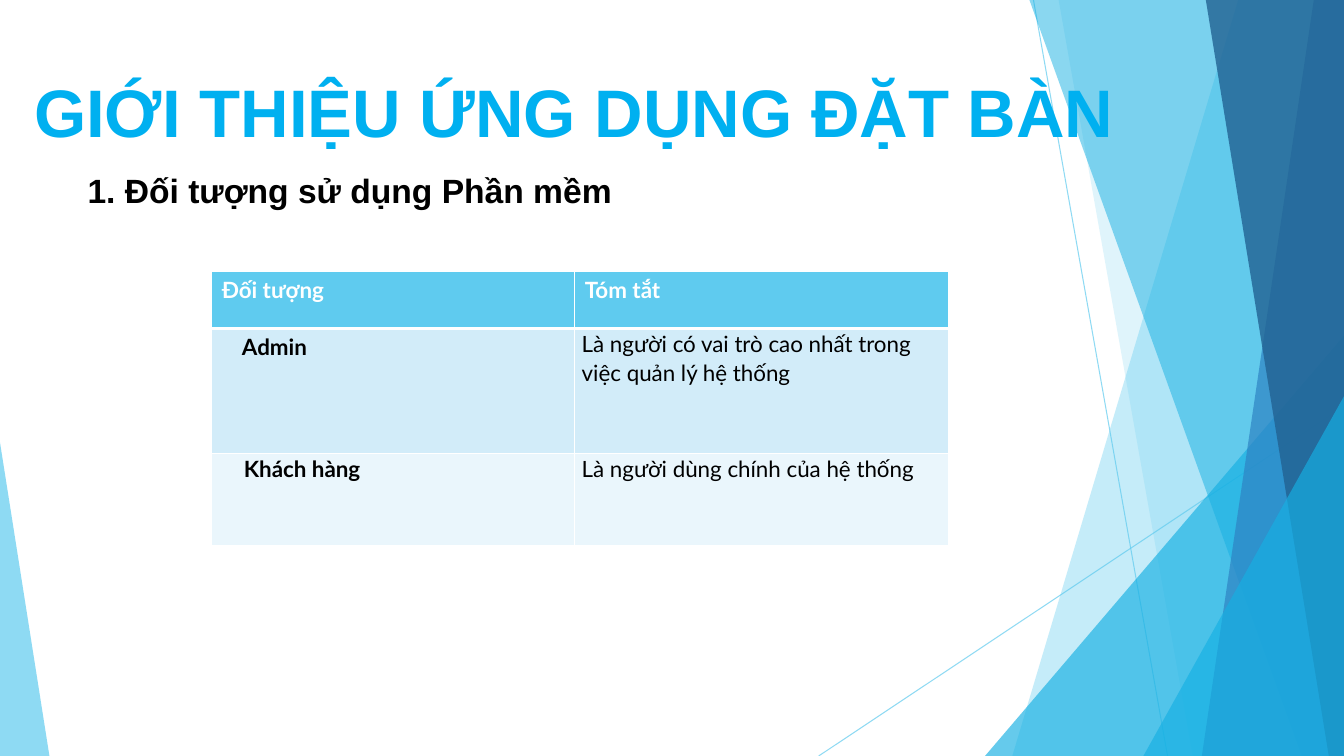
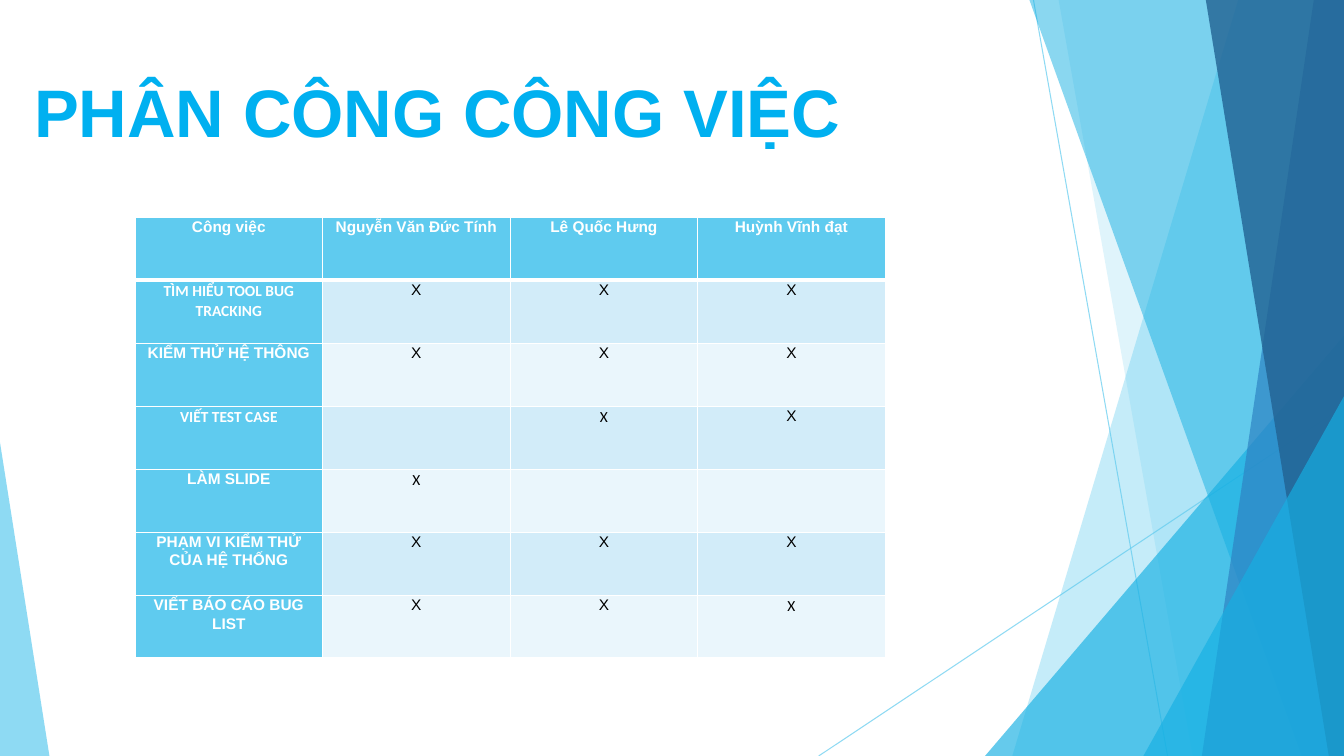
"""Build two slides on a table-booking app: its users and the division of work."""
from lxml import etree
from pptx import Presentation
from pptx.dml.color import RGBColor
from pptx.enum.shapes import MSO_CONNECTOR, MSO_SHAPE
from pptx.enum.text import MSO_ANCHOR, MSO_AUTO_SIZE, PP_ALIGN
from pptx.oxml.ns import qn
from pptx.util import Pt

PX = 9144
WIDTH, HEIGHT = 1333, 750
TRIANGLE = MSO_SHAPE.ISOSCELES_TRIANGLE
STRAIGHT = MSO_CONNECTOR.STRAIGHT
MIDDLE = MSO_ANCHOR.MIDDLE
LEFT, CENTER = PP_ALIGN.LEFT, PP_ALIGN.CENTER

COLORS = {
    "sky": "5FCBEF",
    "cyan": "16B0E3",
    "blue": "2E83C3",
    "navy": "226292",
    "title": "00B0F0",
    "band_dark": "D2ECF9",
    "band_light": "EAF6FC",
    "white": "FFFFFF",
    "black": "000000",
}

RAYS = [(1025, 0, 1158, HEIGHT), (WIDTH, 403, 812, HEIGHT)]

# Bands give x at top left, top right, bottom right, bottom left;
# triangles give left, top, width, height, apex.
FACETS = [
    ("band", (1228, WIDTH, WIDTH, 1004), "sky", 36),
    ("band", (1050, WIDTH, WIDTH, 1183), "sky", 20),
    ("triangle", (977, 333, 356, 417, 1), "cyan", 66),
    ("band", (1021, WIDTH, 1333, 1291), "cyan", 50),
    ("band", (1303, WIDTH, WIDTH, 1192), "blue", 70),
    ("band", (1196, WIDTH, WIDTH, 1318), "navy", 80),
    ("triangle", (1134, 393, 199, 357, 1), "cyan", 66),
    ("triangle", (0, 439, 49, 311, 0), "sky", 70),
]

SLIDES = [
    {
        "title": "GIỚI THIỆU ỨNG DỤNG ĐẶT BÀN",
        "title_width": 1102,
        "subtitle": "1. Đối tượng sử dụng Phần mềm",
        "corner": (210, 269),
        "columns": [360, 371],
        "rows": [57, 124, 91],
        "cells": [
            ["Đối tượng", "Tóm tắt"],
            ["Admin", "Là người có vai trò cao nhất trong việc quản lý hệ thống"],
            ["Khách hàng", "Là người dùng chính của hệ thống"],
        ],
        "font": "Lato",
        "size": 16,
        "align": LEFT,
        "head_column": False,
        "calibri": set(),
        "roomy": {(0, 0), (0, 1), (1, 0)},
        "indents": {(1, 0): 20, (2, 0): 25},
    },
    {
        "title": "PHÂN CÔNG CÔNG VIỆC",
        "title_width": 828,
        "subtitle": None,
        "corner": (134, 216),
        "columns": [186] * 4,
        "rows": [62, 63] * 3 + [62],
        "cells": [
            ["Công việc", "Nguyễn Văn Đức Tính", "Lê Quốc Hưng", "Huỳnh Vĩnh đạt"],
            ["TÌM HIỂU TOOL BUG TRACKING", "X", "X", "X"],
            ["KIỂM THỬ HỆ THÔNG", "X", "X", "X"],
            ["VIẾT TEST CASE", "", "X", "X"],
            ["LÀM SLIDE", "X", "", ""],
            ["PHẠM VI KIỂM THỬ CỦA HỆ THỐNG", "X", "X", "X"],
            ["VIẾT BÁO CÁO BUG LIST", "X", "X", "X"],
        ],
        "font": "Arial",
        "size": 11,
        "align": CENTER,
        "head_column": True,
        "calibri": {(1, 0), (3, 0), (3, 2), (4, 1), (6, 3)},
        "roomy": set(),
        "indents": {},
    },
]


def paint(fill, color, alpha=100):
    """Make a fill solid in a named colour, with opacity in percent."""
    fill.solid()
    fill.fore_color.rgb = RGBColor.from_string(COLORS[color])
    if alpha < 100:
        for tone in fill._xPr.iter(qn("a:srgbClr")):
            etree.SubElement(tone, qn("a:alpha"), val=str(alpha * 1000))


def write(frame, text, font, size, color, bold):
    """Put one formatted paragraph in a text frame and return it."""
    frame.text = text
    para = frame.paragraphs[0]
    for style in [para.font] + [span.font for span in para.runs]:
        style.name = font
        style.size = Pt(size)
        style.bold = bold
        style.color.rgb = RGBColor.from_string(COLORS[color])
    return para


deck = Presentation()
deck.slide_width, deck.slide_height = WIDTH * PX, HEIGHT * PX

for content in SLIDES:
    page = deck.slides.add_slide(deck.slide_layouts[6])

    for ray in RAYS:
        line = page.shapes.add_connector(STRAIGHT, *[value * PX for value in ray])
        line.line.width = Pt(0.75)
        paint(line.line.fill, "sky", 70)
        etree.SubElement(line._element.spPr, qn("a:effectLst"))

    for kind, geometry, color, alpha in FACETS:
        if kind == "band":
            corners = list(zip(geometry, (0, 0, HEIGHT, HEIGHT)))
            outline = page.shapes.build_freeform(*corners[0], scale=PX)
            outline.add_line_segments(corners[1:], close=True)
            facet = outline.convert_to_shape()
        else:
            facet = page.shapes.add_shape(TRIANGLE, *[value * PX for value in geometry[:4]])
            facet.adjustments[0] = geometry[4]
        paint(facet.fill, color, alpha)
        facet.line.fill.background()
        facet.shadow.inherit = False

    title = page.shapes.add_textbox(24 * PX, 65 * PX, content["title_width"] * PX, 91 * PX)
    title.text_frame.word_wrap = False
    title.text_frame.auto_size = MSO_AUTO_SIZE.SHAPE_TO_FIT_TEXT
    write(title.text_frame, content["title"], "Arial", 48, "title", True)

    if content["subtitle"]:
        box = page.shapes.add_textbox(77 * PX, 156 * PX, 804 * PX, 66 * PX)
        box.text_frame.word_wrap = True
        box.text_frame.vertical_anchor = MIDDLE
        box.text_frame.margin_top = box.text_frame.margin_bottom = 10 * PX
        write(box.text_frame, content["subtitle"], "Arial", 24, "black", True)

    columns, rows = content["columns"], content["rows"]
    left, top = content["corner"]
    table = page.shapes.add_table(
        len(rows), len(columns), left * PX, top * PX, sum(columns) * PX, sum(rows) * PX
    ).table
    table.first_row = table.horz_banding = False
    for column, width in zip(table.columns, columns):
        column.width = width * PX
    for row, height in zip(table.rows, rows):
        row.height = height * PX

    for r, texts in enumerate(content["cells"]):
        for c, text in enumerate(texts):
            place = (r, c)
            cell = table.cell(r, c)
            head = r == 0 or (content["head_column"] and c == 0)
            band = "band_dark" if r % 2 else "band_light"
            paint(cell.fill, "sky" if head else band)

            roomy = place in content["roomy"]
            cell.margin_left = cell.margin_right = (10 if roomy else 7) * PX
            cell.margin_top = cell.margin_bottom = (5 if roomy else 0) * PX

            font = "Calibri" if place in content["calibri"] else content["font"]
            ink = "white" if head else "black"
            para = write(cell.text_frame, text, font, content["size"], ink, r == 0 or c == 0)
            para.alignment = content["align"]
            if not roomy:
                para.line_spacing = 1.07
            if place in content["indents"]:
                para._p.get_or_add_pPr().set("marL", str(content["indents"][place] * PX))

            borders = {"lnL": 1, "lnR": 1, "lnT": 3 if r == 1 else 1, "lnB": 3 if r == 0 else 1}
            for index, (side, points) in enumerate(borders.items()):
                border = etree.Element(qn(f"a:{side}"), w=str(Pt(points)))
                solid = etree.SubElement(border, qn("a:solidFill"))
                etree.SubElement(solid, qn("a:srgbClr"), val=COLORS["white"])
                cell._tc.get_or_add_tcPr().insert(index, border)

deck.save("out.pptx")
